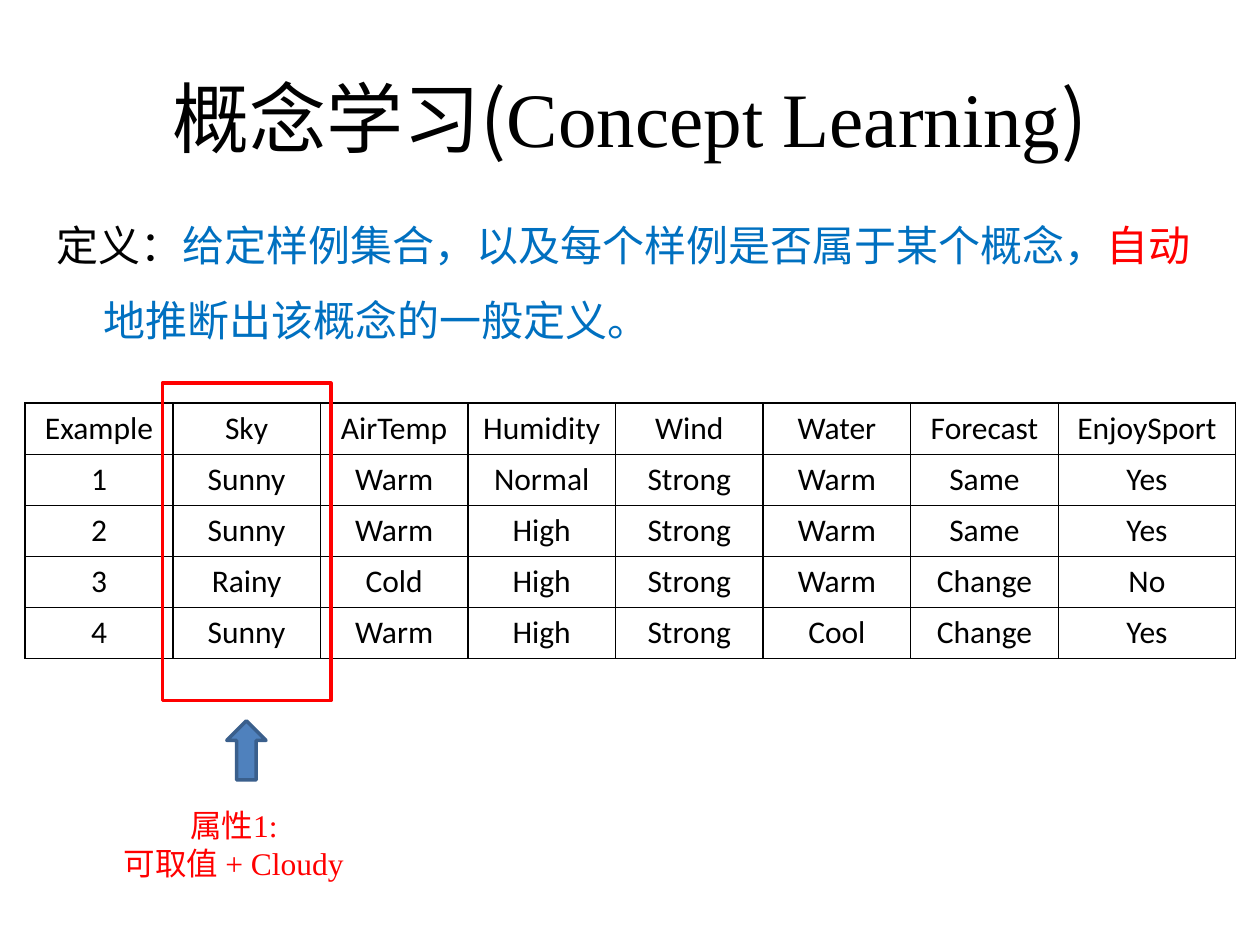
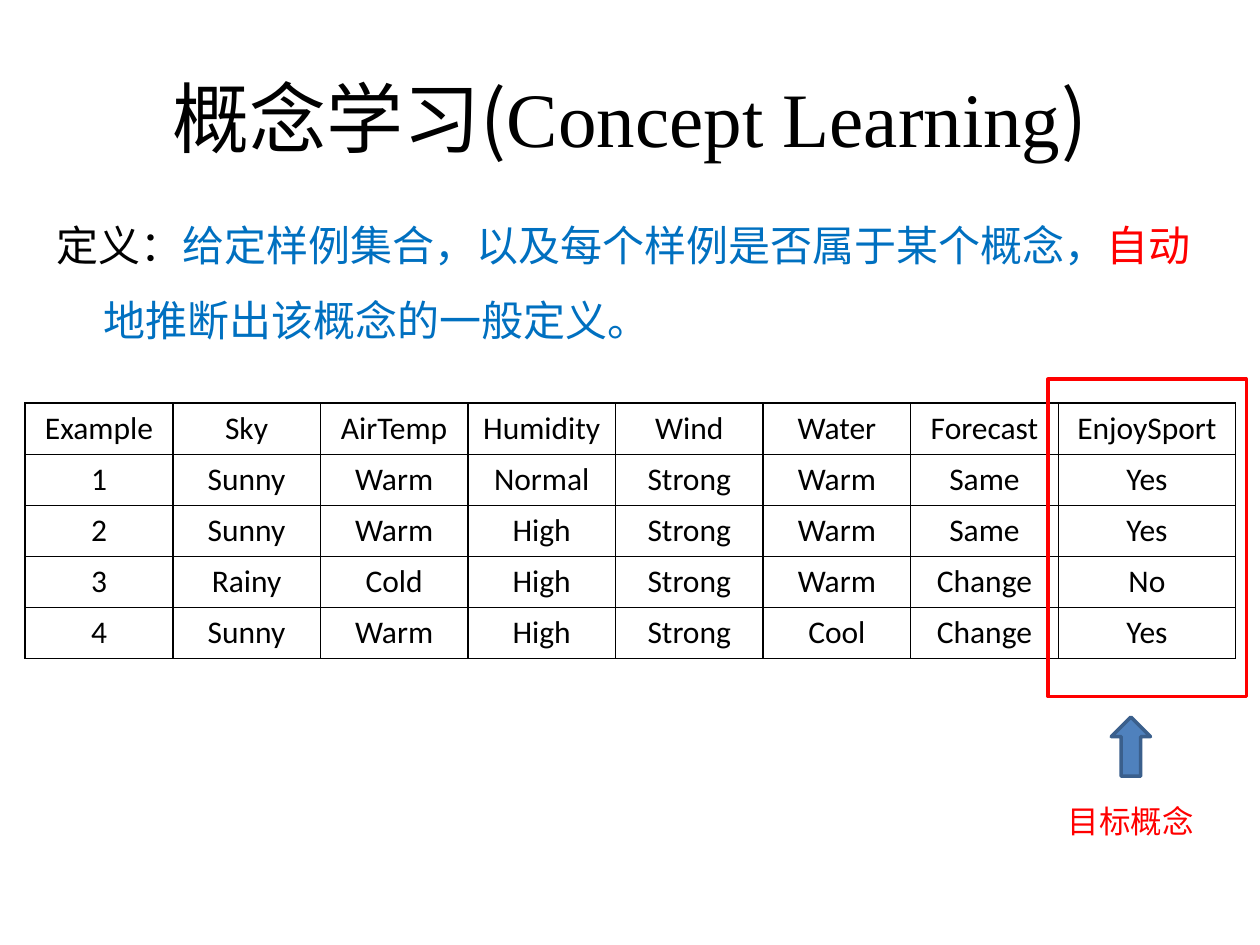
from typing import Any, NamedTuple

from lxml.etree import SubElement
from pptx import Presentation
from pptx.dml.color import RGBColor
from pptx.enum.shapes import MSO_SHAPE as Preset
from pptx.enum.text import MSO_ANCHOR as Anchor, MSO_AUTO_SIZE as AutoSize, PP_ALIGN as Align
from pptx.oxml.ns import qn
from pptx.util import Pt

BLACK = RGBColor(0x00, 0x00, 0x00)
BLUE = RGBColor(0x00, 0x70, 0xC0)
RED = RGBColor(0xFF, 0x00, 0x00)
ARROW_FILL = RGBColor(0x4F, 0x81, 0xBD)
ARROW_LINE = RGBColor(0x3A, 0x5F, 0x8C)

CJK = "Noto Sans CJK SC"
SERIF = "Times New Roman"
SANS = "Calibri"

# Table grid, in points
TABLE_LEFT, TABLE_TOP = 14.4, 230.4
COLUMN_WIDTHS = [84.35] * 7 + [101.4]
ROW_HEIGHT = 29.15
EXAMPLES = [
    ["Example", "Sky", "AirTemp", "Humidity", "Wind", "Water", "Forecast", "EnjoySport"],
    ["1", "Sunny", "Warm", "Normal", "Strong", "Warm", "Same", "Yes"],
    ["2", "Sunny", "Warm", "High", "Strong", "Warm", "Same", "Yes"],
    ["3", "Rainy", "Cold", "High", "Strong", "Warm", "Change", "No"],
    ["4", "Sunny", "Warm", "High", "Strong", "Cool", "Change", "Yes"],
]

# Callout measures, in points
FRAME_MARGIN, FRAME_HEIGHT = 6, 181.4
ARROW_WIDTH, ARROW_HEIGHT, ARROW_DROP = 22.4, 33.8, 193
NOTE_WIDTH, NOTE_DROP = 147.6, 238.3


class Span(NamedTuple):
    text: str
    font: str
    color: RGBColor = BLACK


class Box(NamedTuple):
    left: float
    top: float
    width: float
    height: float

    def lengths(self) -> list[Pt]:
        return [Pt(value) for value in self]


class Callout(NamedTuple):
    column: int
    top: float
    arrow_center: float
    note_center: float
    note_height: float
    note: list[list[Span]]


TITLE_BOX = Box(36, 21.6, 648, 90)
DEFINITION_BOX = Box(25.2, 107.3, 668.9, 406.8)
TITLE = [Span("概念学习(", CJK), Span("Concept Learning", SERIF), Span(")", CJK)]
DEFINITION = [
    Span("定义：", SERIF),
    Span("给定样例集合，以及每个样例是否属于某个概念，", SERIF, BLUE),
    Span("自动", SERIF, RED),
    Span("地推断出该概念的一般定义。", SERIF, BLUE),
]
CALLOUTS = [
    Callout(1, 218.9, 140.8, 133.6, 51, [
        [Span("属性", CJK, RED), Span("1:", SERIF, RED)],
        [Span("可取值 ", CJK, RED), Span("+ Cloudy", SERIF, RED)],
    ]),
    Callout(7, 216.7, 646.2, 646.2, 29, [[Span("目标概念", CJK, RED)]]),
]

CENTERED = {"alignment": Align.CENTER}
DEFINITION_FORMAT = {
    "alignment": Align.LEFT,
    "line_spacing": 1.5,
    "space_before": Pt(4.8),
    "space_after": Pt(10),
}


def apply(target: Any, values: dict[str, Any]) -> None:
    for attribute, value in values.items():
        setattr(target, attribute, value)


def write(paragraph: Any, spans: list[Span], size: float, layout: dict[str, Any]) -> None:
    apply(paragraph, layout)
    for span in spans:
        run = paragraph.add_run()
        run.text = span.text
        apply(run.font, {"size": Pt(size), "name": span.font, "bold": False})
        run.font.color.rgb = span.color
        if span.font != SANS:
            SubElement(run.font._element, qn("a:ea"), typeface=CJK)


def place(shape: Any, box: Box) -> None:
    apply(shape, dict(zip(("left", "top", "width", "height"), box.lengths())))


def add_heading(slide: Any) -> None:
    title = slide.shapes.title
    place(title, TITLE_BOX)
    apply(title.text_frame, {"vertical_anchor": Anchor.MIDDLE, "auto_size": AutoSize.NONE})
    write(title.text_frame.paragraphs[0], TITLE, 44, CENTERED)


def add_definition(slide: Any) -> None:
    body = slide.placeholders[1]
    place(body, DEFINITION_BOX)
    apply(body.text_frame, {"vertical_anchor": Anchor.TOP, "auto_size": AutoSize.NONE})
    paragraph = body.text_frame.paragraphs[0]
    write(paragraph, DEFINITION, 24, DEFINITION_FORMAT)
    # Hanging indent without a bullet
    properties = paragraph._p.get_or_add_pPr()
    properties.set("marL", str(Pt(27)))
    properties.set("indent", str(Pt(-27)))
    SubElement(properties, qn("a:buNone"))


def add_borders(cell: Any) -> None:
    properties = cell._tc.get_or_add_tcPr()
    for side in ("lnL", "lnR", "lnT", "lnB"):
        border = SubElement(properties, qn(f"a:{side}"), w=str(Pt(1)))
        fill = SubElement(border, qn("a:solidFill"))
        SubElement(fill, qn("a:srgbClr"), val=str(BLACK))


def add_examples(slide: Any) -> None:
    box = Box(TABLE_LEFT, TABLE_TOP, sum(COLUMN_WIDTHS), ROW_HEIGHT * len(EXAMPLES))
    table = slide.shapes.add_table(len(EXAMPLES), len(COLUMN_WIDTHS), *box.lengths()).table
    apply(table, {"first_row": False, "horz_banding": False})
    for column, width in zip(table.columns, COLUMN_WIDTHS):
        column.width = Pt(width)
    for row, values in zip(table.rows, EXAMPLES):
        row.height = Pt(ROW_HEIGHT)
        for cell, value in zip(row.cells, values):
            add_borders(cell)
            cell.fill.background()
            cell.vertical_anchor = Anchor.MIDDLE
            write(cell.text_frame.paragraphs[0], [Span(value, SANS)], 18, CENTERED)


def add_outlined(slide: Any, preset: Preset, box: Box, line: RGBColor) -> Any:
    shape = slide.shapes.add_shape(preset, *box.lengths())
    shape.shadow.inherit = False
    shape.line.color.rgb = line
    shape.line.width = Pt(2)
    return shape


def add_callout(slide: Any, callout: Callout) -> None:
    # Frame around the column
    column_left = TABLE_LEFT + sum(COLUMN_WIDTHS[:callout.column])
    frame_width = COLUMN_WIDTHS[callout.column] + 2 * FRAME_MARGIN
    frame_box = Box(column_left - FRAME_MARGIN, callout.top, frame_width, FRAME_HEIGHT)
    add_outlined(slide, Preset.RECTANGLE, frame_box, RED).fill.background()

    # Arrow pointing up at the frame
    arrow_box = Box(callout.arrow_center - ARROW_WIDTH / 2, callout.top + ARROW_DROP,
                    ARROW_WIDTH, ARROW_HEIGHT)
    arrow = add_outlined(slide, Preset.DOWN_ARROW, arrow_box, ARROW_LINE)
    arrow.rotation = 180
    arrow.fill.solid()
    arrow.fill.fore_color.rgb = ARROW_FILL

    # Note under the arrow
    note_box = Box(callout.note_center - NOTE_WIDTH / 2, callout.top + NOTE_DROP,
                   NOTE_WIDTH, callout.note_height)
    note = slide.shapes.add_textbox(*note_box.lengths()).text_frame
    apply(note, {"word_wrap": True, "auto_size": AutoSize.SHAPE_TO_FIT_TEXT})
    for index, spans in enumerate(callout.note):
        paragraph = note.add_paragraph() if index else note.paragraphs[0]
        write(paragraph, spans, 18, CENTERED)


def main() -> None:
    deck = Presentation()
    apply(deck, {"slide_width": Pt(720), "slide_height": Pt(540)})
    for callout in CALLOUTS:
        slide = deck.slides.add_slide(deck.slide_layouts[1])
        add_heading(slide)
        add_definition(slide)
        add_examples(slide)
        add_callout(slide, callout)
    deck.save("out.pptx")


if __name__ == "__main__":
    main()
